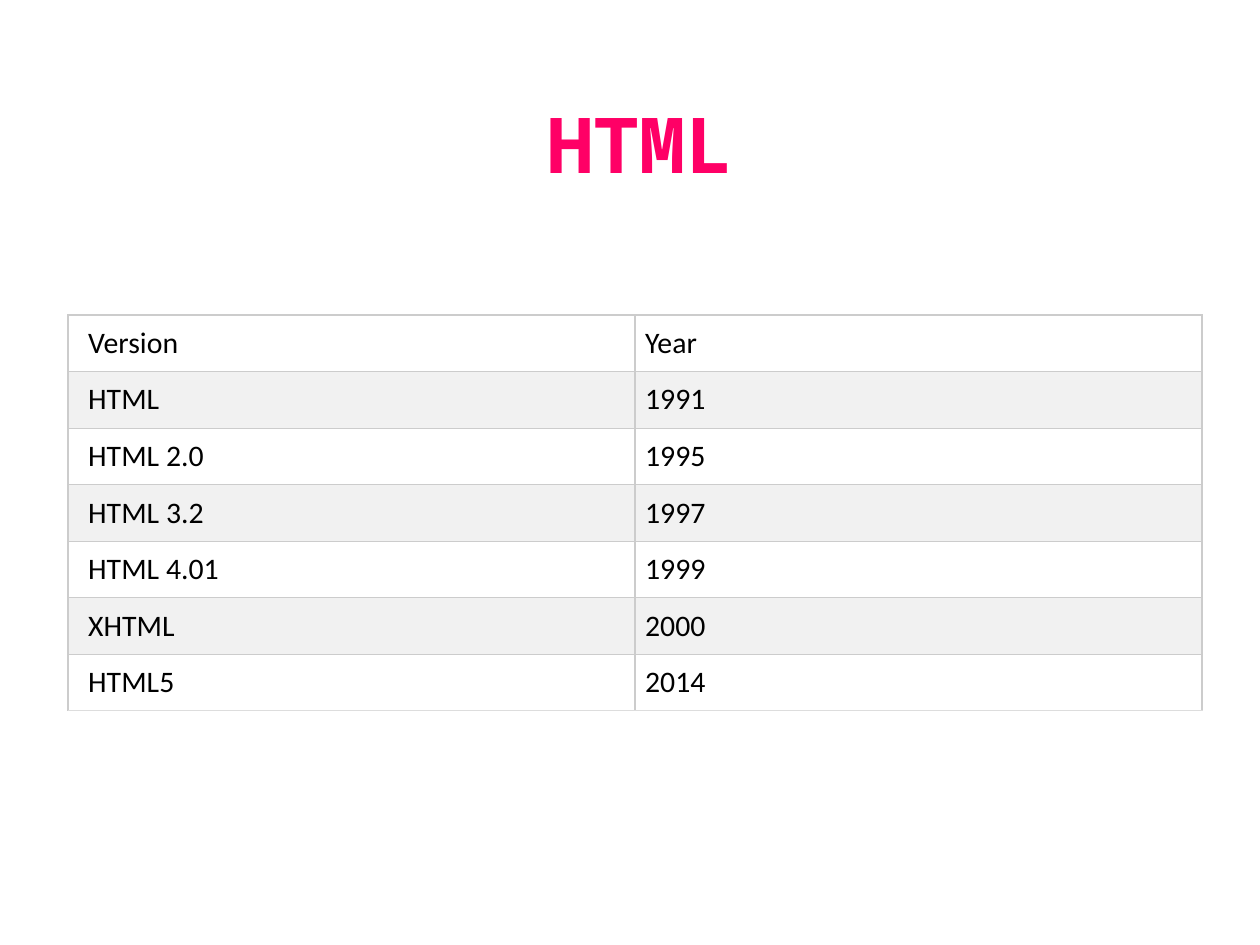
from lxml import etree
from pptx import Presentation, util as u
from pptx.dml.color import RGBColor
from pptx.enum import text
from pptx.oxml.ns import qn


def paint(code):
    return RGBColor.from_string(code)


class Deck:
    cols, rows = 100, 75
    sans, mono = "Calibri", "Noto Sans Mono"
    ink, pink = "000000", "FF0066"
    bands = "FFFFFF", "F1F1F1"
    rule, base = "CCCCCC", "DDDDDD"
    pad, inset = u.Inches(0.08), u.Inches(0.16)

    def __init__(self):
        self.prs = Presentation()
        self.prs.slide_width, self.prs.slide_height = u.Inches(10), u.Inches(7.5)
        self.slide = self.prs.slides.add_slide(self.prs.slide_layouts[0])
        sub = self.slide.placeholders[1].element
        sub.getparent().remove(sub)

    def box(self, x, y, w, h):
        col = self.prs.slide_width / self.cols
        row = self.prs.slide_height / self.rows
        return [u.Emu(round(n)) for n in (x * col, y * row, w * col, h * row)]

    def style(self, par, face, size, color, bold=False):
        par.font.name, par.font.size, par.font.bold = face, u.Pt(size), bold
        par.font.color.rgb = paint(color)

    def title(self, words, *area):
        head = self.slide.shapes.title
        head.left, head.top, head.width, head.height = self.box(*area)
        frame = head.text_frame
        frame.text = words
        frame.vertical_anchor = text.MSO_ANCHOR.MIDDLE
        par = frame.paragraphs[0]
        par.alignment = text.PP_ALIGN.CENTER
        self.style(par, self.mono, 44, self.pink, True)

    def edge(self, cell, side, color):
        props = cell._tc.get_or_add_tcPr()
        line = etree.SubElement(props, qn("a:ln" + side), w=str(u.Pt(0.75)))
        fill = etree.SubElement(line, qn("a:solidFill"))
        etree.SubElement(fill, qn("a:srgbClr"), val=color)

    def cell(self, cell, words, left, band, base):
        for side in "LRTB":
            self.edge(cell, side, base if side == "B" else self.rule)
        cell.fill.solid()
        cell.fill.fore_color.rgb = paint(band)
        cell.margin_left = left
        cell.margin_right = cell.margin_top = cell.margin_bottom = self.pad
        cell.text = words
        self.style(cell.text_frame.paragraphs[0], self.sans, 17, self.ink)

    def table(self, data, *area):
        count = len(data)
        grid = self.slide.shapes.add_table(count, len(data[0]), *self.box(*area)).table
        for r, row in enumerate(data):
            base = self.base if r == count - 1 else self.rule
            for c, words in enumerate(row):
                left = self.pad if c else self.inset
                self.cell(grid.cell(r, c), words, left, self.bands[r % 2], base)


def main():
    deck = Deck()
    deck.title("HTML", 8.3, 3.3, 85, 16.1)
    deck.table([
        ("Version", "Year"),
        ("HTML", "1991"),
        ("HTML 2.0", "1995"),
        ("HTML 3.2", "1997"),
        ("HTML 4.01", "1999"),
        ("XHTML", "2000"),
        ("HTML5", "2014"),
    ], 5.4, 25, 90, 31.1)
    deck.prs.save("out.pptx")


if __name__ == "__main__":
    main()
